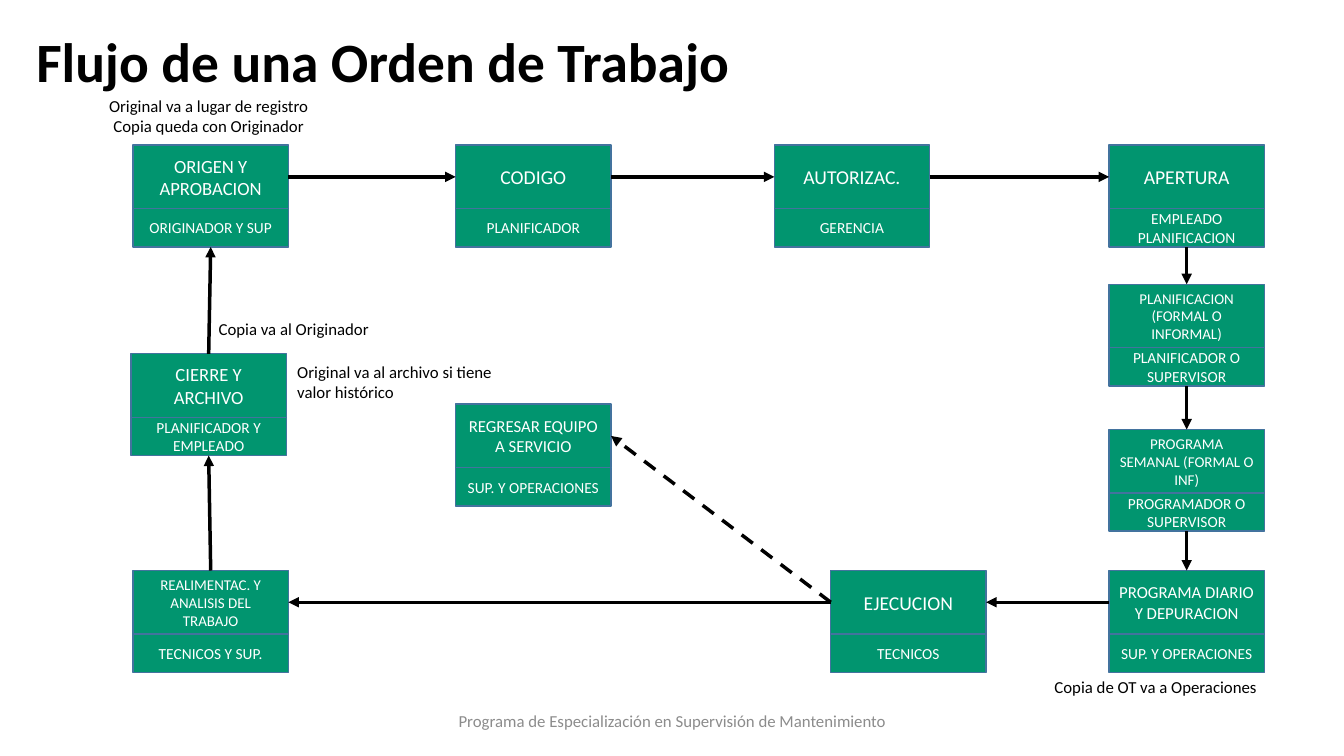
from dataclasses import dataclass

from lxml.etree import SubElement
from pptx import Presentation
from pptx.dml.color import RGBColor
from pptx.enum.dml import MSO_LINE
from pptx.enum.shapes import MSO_CONNECTOR, MSO_SHAPE
from pptx.enum.text import MSO_ANCHOR, MSO_AUTO_SIZE, PP_ALIGN
from pptx.oxml.ns import qn
from pptx.util import Inches, Pt


@dataclass(frozen=True)
class Theme:
    font: str = "Calibri"
    green: RGBColor = RGBColor(0x01, 0x95, 0x6F)
    border: RGBColor = RGBColor(0x43, 0x73, 0x9E)
    black: RGBColor = RGBColor(0, 0, 0)
    white: RGBColor = RGBColor(255, 255, 255)
    gray: RGBColor = RGBColor(0x8C, 0x8C, 0x8C)
    title: float = 39.6
    large: float = 14
    medium: float = 13.3
    note: float = 12
    actor: float = 11
    small: float = 10.7


THEME = Theme()
STEP_WIDTH, TASK_HEIGHT, ACTOR_HEIGHT = 1.54, 0.63, 0.38
TOP, LEFT, BOTTOM, RIGHT = range(4)

ORIGIN_X, CODE_X, AUTHORIZATION_X, EXECUTION_X, OPENING_X = 1.32, 4.52, 7.68, 8.24, 11
FIRST_ROW, LAST_ROW = 1.44, 5.66

# key: (left, top, task, task size, actor)
STEPS = {
    "origin": (ORIGIN_X, FIRST_ROW, "ORIGEN Y APROBACION", THEME.medium, "ORIGINADOR Y SUP"),
    "closing": (1.3, 3.51, "CIERRE Y ARCHIVO", THEME.medium, "PLANIFICADOR Y EMPLEADO"),
    "feedback": (ORIGIN_X, LAST_ROW, "REALIMENTAC. Y ANALISIS DEL TRABAJO", THEME.small,
                 "TECNICOS Y SUP."),
    "return": (CODE_X, 4.01, "REGRESAR EQUIPO A SERVICIO", THEME.note, "SUP. Y OPERACIONES"),
    "execution": (EXECUTION_X, LAST_ROW, "EJECUCION", THEME.large, "TECNICOS"),
    "daily": (OPENING_X, LAST_ROW, "PROGRAMA DIARIO Y DEPURACION", THEME.note,
              "SUP. Y OPERACIONES"),
    "weekly": (OPENING_X, 4.26, "PROGRAMA SEMANAL (FORMAL O INF)", THEME.small,
               "PROGRAMADOR O SUPERVISOR"),
    "planning": (OPENING_X, 2.82, "PLANIFICACION (FORMAL O INFORMAL)", THEME.small,
                 "PLANIFICADOR O SUPERVISOR"),
    "code": (CODE_X, FIRST_ROW, "CODIGO", THEME.large, "PLANIFICADOR"),
    "authorization": (AUTHORIZATION_X, FIRST_ROW, "AUTORIZAC.", THEME.large, "GERENCIA"),
    "opening": (OPENING_X, FIRST_ROW, "APERTURA", THEME.large, "EMPLEADO PLANIFICACION"),
}

# (from, side, to, side, dashed)
FLOWS = [
    ("origin", RIGHT, "code", LEFT, False),
    ("code", RIGHT, "authorization", LEFT, False),
    ("authorization", RIGHT, "opening", LEFT, False),
    ("opening", BOTTOM, "planning", TOP, False),
    ("planning", BOTTOM, "weekly", TOP, False),
    ("weekly", BOTTOM, "daily", TOP, False),
    ("daily", LEFT, "execution", RIGHT, False),
    ("execution", LEFT, "feedback", RIGHT, False),
    ("feedback", TOP, "closing", BOTTOM, False),
    ("closing", TOP, "origin", BOTTOM, False),
    ("execution", LEFT, "return", RIGHT, True),
]

# (box, lines, alignment)
NOTES = [
    ((0.96, 0.9, 2.22, 0.5), ["Original va a lugar de registro", "Copia queda con Originador"],
     PP_ALIGN.CENTER),
    ((2.07, 3.11, 2.36, 0.3), ["Copia va al Originador"], PP_ALIGN.LEFT),
    ((2.85, 3.54, 2.36, 0.5), ["Original va al archivo si tiene valor histórico"], PP_ALIGN.LEFT),
    ((10.36, 6.66, 2.36, 0.3), ["Copia de OT va a Operaciones"], PP_ALIGN.LEFT),
]


def write(frame, lines, size, color, align=PP_ALIGN.LEFT, anchor=MSO_ANCHOR.MIDDLE, bold=False):
    frame.word_wrap = True
    frame.auto_size = MSO_AUTO_SIZE.NONE
    frame.vertical_anchor = anchor
    frame.text = "\n".join(lines)
    for paragraph in frame.paragraphs:
        paragraph.alignment = align
        paragraph.font.name = THEME.font
        paragraph.font.size = Pt(size)
        paragraph.font.bold = bold
        paragraph.font.color.rgb = color


def add_title(slide, box, text):
    title = slide.shapes.title
    title.left, title.top, title.width, title.height = map(Inches, box)
    write(title.text_frame, [text], THEME.title, THEME.black, bold=True)
    title.text_frame.paragraphs[0].line_spacing = 0.9


def add_note(slide, box, lines, align, color=THEME.black, anchor=MSO_ANCHOR.TOP):
    note = slide.shapes.add_textbox(*map(Inches, box))
    write(note.text_frame, lines, THEME.note, color, align, anchor)


def add_cell(group, box, text, size):
    cell = group.shapes.add_shape(MSO_SHAPE.RECTANGLE, *map(Inches, box))
    cell.shadow.inherit = False
    cell.fill.solid()
    cell.fill.fore_color.rgb = THEME.green
    cell.line.color.rgb = THEME.border
    cell.line.width = Pt(1)
    write(cell.text_frame, [text], size, THEME.white, PP_ALIGN.CENTER)
    return cell


def add_step(slide, left, top, task, task_size, actor):
    """Stack a task over its actor and return both cells."""
    group = slide.shapes.add_group_shape()
    return (
        add_cell(group, (left, top, STEP_WIDTH, TASK_HEIGHT), task, task_size),
        add_cell(group, (left, top + TASK_HEIGHT, STEP_WIDTH, ACTOR_HEIGHT), actor, THEME.actor),
    )


def add_flow(slide, source, source_side, target, target_side, dashed):
    """Join two steps; a bottom end leaves from the actor, any other from the task."""
    arrow = slide.shapes.add_connector(MSO_CONNECTOR.STRAIGHT, 0, 0, 0, 0)
    arrow.begin_connect(source[source_side == BOTTOM], source_side)
    arrow.end_connect(target[target_side == BOTTOM], target_side)
    arrow.line.color.rgb = THEME.black
    arrow.line.width = Pt(2.5)
    if dashed:
        arrow.line.dash_style = MSO_LINE.DASH
    properties = arrow.element.spPr
    SubElement(properties.find(qn("a:ln")), qn("a:tailEnd"), type="triangle")
    SubElement(properties, qn("a:effectLst"))


def add_work_order_slide(deck):
    slide = deck.slides.add_slide(deck.slide_layouts[5])
    add_note(slide, (4.42, 6.95, 4.5, 0.4),
             ["Programa de Especialización en Supervisión de Mantenimiento"],
             PP_ALIGN.CENTER, THEME.gray, MSO_ANCHOR.MIDDLE)
    add_title(slide, (0.26, 0.33, 11.5, 0.63), "Flujo de una Orden de Trabajo")
    steps = {key: add_step(slide, *step) for key, step in STEPS.items()}
    for source, source_side, target, target_side, dashed in FLOWS:
        add_flow(slide, steps[source], source_side, steps[target], target_side, dashed)
    for note in NOTES:
        add_note(slide, *note)


def main():
    deck = Presentation()
    deck.slide_width, deck.slide_height = Inches(13.33), Inches(7.5)
    add_work_order_slide(deck)
    deck.save("out.pptx")


if __name__ == "__main__":
    main()
